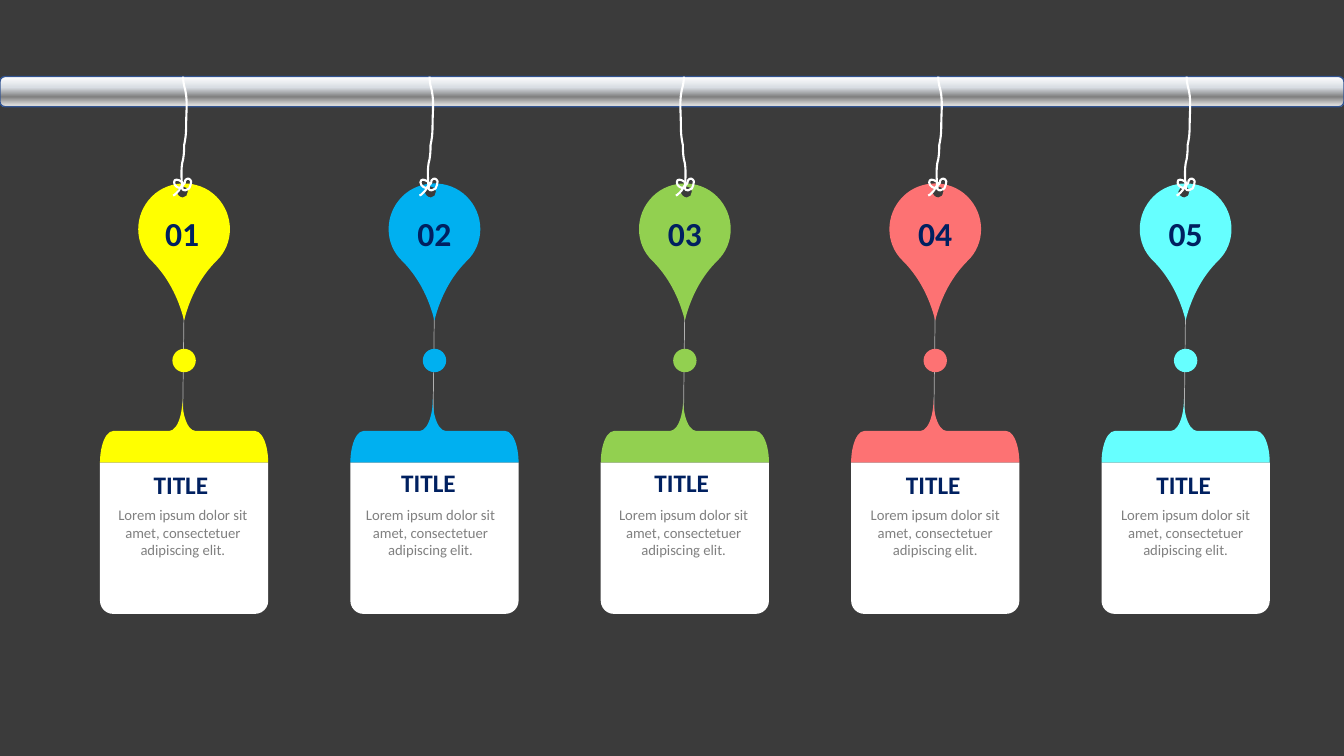
"""Build a slide of five tags hanging from a metal rail, each above a titled card."""
from dataclasses import dataclass

from lxml import etree
from pptx import Presentation
from pptx.dml.color import RGBColor
from pptx.enum.shapes import MSO_CONNECTOR, MSO_SHAPE
from pptx.enum.text import MSO_AUTO_SIZE, PP_ALIGN
from pptx.oxml.ns import qn
from pptx.shapes.autoshape import Shape
from pptx.shapes.shapetree import GroupShapes, SlideShapes
from pptx.util import Cm, Pt

STRAIGHT = MSO_CONNECTOR.STRAIGHT
ROUND_BAR = MSO_SHAPE.ROUNDED_RECTANGLE
ROUND_PAIR = MSO_SHAPE.ROUND_2_SAME_RECTANGLE
BRACE = MSO_SHAPE.RIGHT_BRACE
OVAL = MSO_SHAPE.OVAL
CENTER = PP_ALIGN.CENTER
GROW = MSO_AUTO_SIZE.SHAPE_TO_FIT_TEXT

Point = tuple[float, float]
Contour = list[Point]


@dataclass(frozen=True)
class Theme:
    """Colours, font and type sizes of the slide."""
    background: str = "3B3B3B"
    white: str = "FFFFFF"
    navy: str = "002060"
    grey: str = "808080"
    rail_edge: str = "325491"
    rail: tuple = ((0, "FFFFFF"), (36, "D8DDE3"), (67, "808080"), (94, "D9D9D9"))
    font: str = "Calibri"
    number_size: float = 24
    title_size: float = 18
    body_size: float = 10.5


@dataclass(frozen=True)
class Tag:
    """One hanging tag, with its sideways shifts in centimetres."""
    number: str
    color: str
    knot_shift: float
    hole_shift: float
    text_shift: float
    number_shift: float = 0
    title_top: float = 11.71
    cord_side: int = 1


THEME = Theme()
TAGS = [
    Tag("01", "FFFF00", -0.05, -0.03, -0.03, number_shift=-0.05),
    Tag("02", "00B0F0", -0.15, -0.09, -0.1, title_top=11.66),
    Tag("03", "92D050", 0, 0.05, -0.03, title_top=11.66, cord_side=-1),
    Tag("04", "FD7273", 0.05, 0.08, 0),
    Tag("05", "66FFFF", 0, -0.03, 0),
]
TITLE = "TITLE"
BODY = "Lorem ipsum dolor sit amet, consectetuer adipiscing elit."
FIRST_CENTER, PITCH = 4.64, 6.31
SLIDE_WIDTH, SLIDE_HEIGHT = 33.87, 19.05
GRID = 2.54 / 100

HOLE = [(0, 185), (-3, 185), (-6, 187), (-6, 190), (-6, 193), (-3, 196), (0, 196),
        (3, 196), (5, 193), (5, 190), (5, 187), (3, 185), (0, 185)]
PIN = [(0, 182), (11, 182), (23, 186), (32, 195), (50, 213), (50, 242), (32, 259),
       (17, 274), (6, 294), (0, 318), (-6, 294), (-17, 274), (-32, 259),
       (-50, 242), (-50, 213), (-32, 195), (-23, 186), (-11, 182), (0, 182)]
CORD = [(0, 187), (0, 183), (-2, 167), (1, 158), (2, 152), (2, 148), (2, 144),
        (3, 139), (4, 135), (4, 123), (4, 110), (6, 98), (2, 85),
        (1, 80), (1, 78), (1, 76)]
BOW = [(0, 187), (-3, 187), (-8, 185), (-8, 181), (-8, 177), (-4, 178), (-1, 180),
       (2, 181), (0, 185), (0, 187), (1, 190), (5, 189), (7, 187),
       (8, 185), (9, 182), (9, 180), (8, 177), (5, 176), (3, 179),
       (3, 183), (1, 183), (-1, 185), (-3, 188), (-3, 190), (-5, 191),
       (-7, 193), (-8, 194), (-9, 194)]


def place(controls: Contour, center: float, side: int = 1) -> Contour:
    """Place the control points of chained curves around a centre."""
    return [(Cm(center + side * x * GRID), Cm(y * GRID)) for x, y in controls]


def add_outline(shapes: GroupShapes, contours: list[Contour], close: bool) -> Shape:
    """Build one freeform of cubic curves from the control points of its contours."""
    builder = shapes.build_freeform(*contours[0][0], scale=1.0)
    for index, contour in enumerate(contours):
        if index:
            builder.move_to(*contour[0])
        builder.add_line_segments(contour[1:], close=close)
    outline = builder.convert_to_shape()
    outline.shadow.inherit = False
    segments = list(outline._element.spPr.iter(qn("a:lnTo")))
    for first in range(0, len(segments), 3):
        curve = etree.Element(qn("a:cubicBezTo"))
        segments[first].addprevious(curve)
        for segment in segments[first:first + 3]:
            curve.append(segment[0])
            segment.getparent().remove(segment)
    return outline


def paint(shape: Shape, color: str) -> None:
    """Give a shape a plain fill and no line."""
    shape.fill.solid()
    shape.fill.fore_color.rgb = RGBColor.from_string(color)
    shape.line.fill.background()


def add_string(shapes: GroupShapes, points: Contour) -> None:
    """Draw an open white string."""
    string = add_outline(shapes, [points], close=False)
    string.fill.background()
    string.line.color.rgb = RGBColor.from_string(THEME.white)
    string.line.width = Pt(1.5)


def add_block(shapes: GroupShapes, kind: int, center: float, top: float, width: float,
              height: float, color: str, adjustments: tuple = ()) -> Shape:
    """Add a preset shape centred on a vertical axis."""
    block = shapes.add_shape(kind, Cm(center - width / 2), Cm(top), Cm(width), Cm(height))
    block.shadow.inherit = False
    for index, value in enumerate(adjustments):
        block.adjustments[index] = value
    paint(block, color)
    return block


def add_text(shapes: GroupShapes, text: str, *, center: float, top: float, width: float,
             height: float, size: float, color: str, bold: bool = False) -> None:
    """Add a centred, wrapping text box."""
    frame = shapes.add_textbox(Cm(center - width / 2), Cm(top), Cm(width), Cm(height)).text_frame
    frame.word_wrap = True
    frame.auto_size = GROW
    paragraph = frame.paragraphs[0]
    paragraph.alignment = CENTER
    run = paragraph.add_run()
    run.text = text
    run.font.name, run.font.size, run.font.bold = THEME.font, Pt(size), bold
    run.font.color.rgb = RGBColor.from_string(color)


def add_thread(shapes: GroupShapes, center: float) -> None:
    """Draw the thin translucent thread from pin to card."""
    thread = shapes.add_connector(STRAIGHT, Cm(center - 0.04), Cm(10.85), Cm(center), Cm(7.6))
    thread.line.color.rgb = RGBColor.from_string(THEME.white)
    thread.line.width = Pt(0.5)
    properties = thread._element.spPr
    shade = properties.find(".//" + qn("a:srgbClr"))
    etree.SubElement(shade, qn("a:alpha"), val="60000")
    etree.SubElement(properties, qn("a:effectLst"))


def add_rail(shapes: SlideShapes) -> None:
    """Draw the metal rail across the slide."""
    rail = shapes.add_shape(ROUND_BAR, Cm(0), Cm(1.93), Cm(SLIDE_WIDTH), Cm(0.76))
    rail.shadow.inherit = False
    rail.fill.gradient()
    rail.fill.gradient_angle = 270
    stops = rail._element.spPr.find(".//" + qn("a:gsLst"))
    for stop in list(stops):
        stops.remove(stop)
    for percent, color in THEME.rail:
        stop = etree.SubElement(stops, qn("a:gs"), pos=str(percent * 1000))
        etree.SubElement(stop, qn("a:srgbClr"), val=color)
    rail.line.color.rgb = RGBColor.from_string(THEME.rail_edge)
    rail.line.width = Pt(1)


def add_tag(shapes: GroupShapes, tag: Tag, center: float) -> None:
    """Draw one tag with its card, text and string."""
    add_thread(shapes, center)
    pin = add_outline(shapes, [place(HOLE, center + tag.hole_shift), place(PIN, center)], close=True)
    paint(pin, tag.color)
    add_block(shapes, BRACE, center, 8.74, 1.6, 4.24, tag.color, (0.208, 0.49)).rotation = 270
    add_block(shapes, ROUND_PAIR, center, 11.66, 4.24, 3.81, THEME.white, (0, 0.087))
    add_block(shapes, OVAL, center, 8.79, 0.59, 0.59, tag.color)
    add_text(shapes, tag.number, center=center + tag.number_shift, top=5.23, width=2.11,
             height=1.27, size=THEME.number_size, color=THEME.navy, bold=True)
    add_text(shapes, TITLE, center=center + tag.text_shift - 0.05, top=tag.title_top, width=3.25,
             height=1.02, size=THEME.title_size, color=THEME.navy, bold=True)
    add_text(shapes, BODY, center=center + tag.text_shift, top=12.62, width=3.91,
             height=1.6, size=THEME.body_size, color=THEME.grey)
    knot = center + tag.knot_shift
    add_string(shapes, place(CORD, knot, tag.cord_side))
    add_string(shapes, place(BOW, knot))


def main() -> None:
    """Build and save the slide."""
    deck = Presentation()
    deck.slide_width, deck.slide_height = Cm(SLIDE_WIDTH), Cm(SLIDE_HEIGHT)
    slide = deck.slides.add_slide(deck.slide_layouts[6])
    slide.background.fill.solid()
    slide.background.fill.fore_color.rgb = RGBColor.from_string(THEME.background)
    add_rail(slide.shapes)
    for index, tag in enumerate(TAGS):
        add_tag(slide.shapes.add_group_shape().shapes, tag, FIRST_CENTER + index * PITCH)
    deck.save("out.pptx")


if __name__ == "__main__":
    main()
